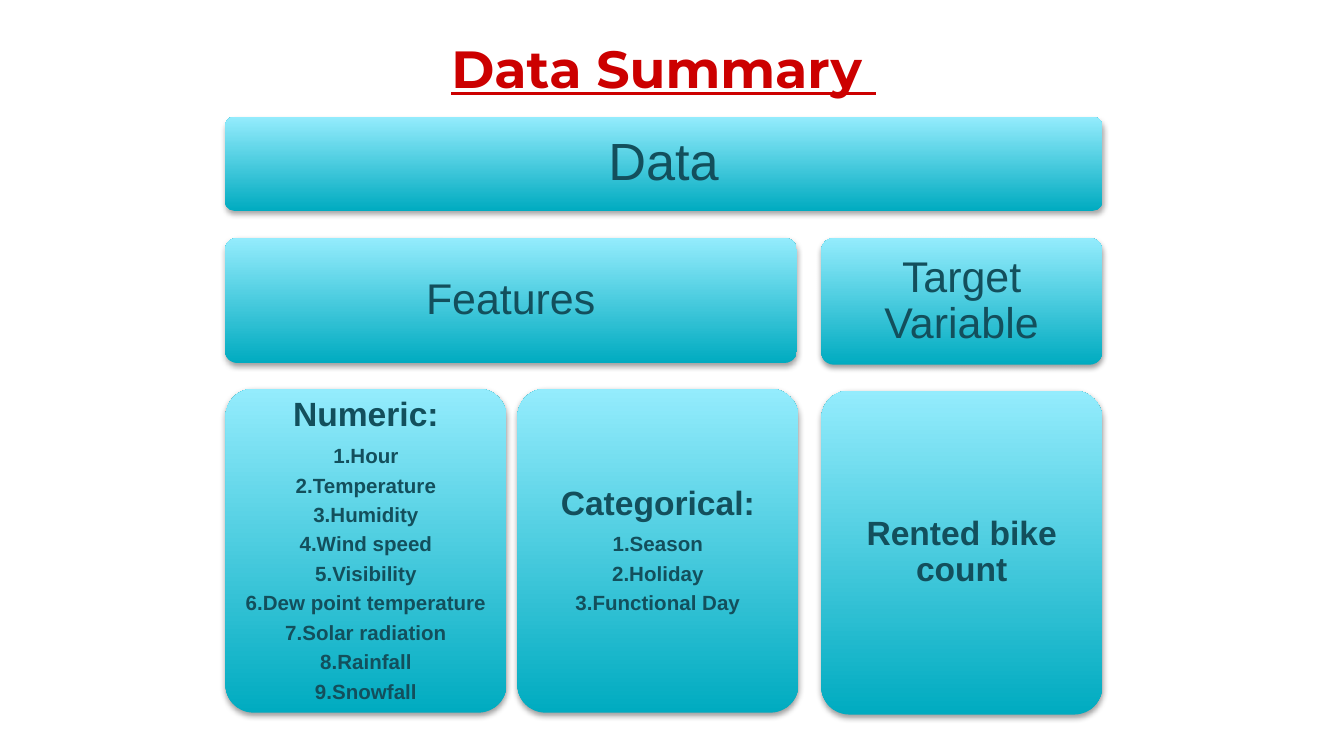
from dataclasses import dataclass

from lxml import etree
from pptx import Presentation
from pptx.dml import color
from pptx.enum import shapes, text
from pptx.oxml import ns
from pptx.util import Pt


@dataclass(frozen=True)
class Theme:
    title_font: str = "Montserrat"
    body_font: str = "Arial"
    title_color: str = "CC0000"
    ink: str = "134F5C"
    gradient: tuple = ("00ABC0", "94ECFD")  # bottom, top
    shadow: str = "000000"
    title_size: float = 28
    root_size: float = 28
    branch_size: float = 23
    heading_size: float = 18
    item_size: float = 11


class SlideBuilder:
    def __init__(self, page, theme):
        self.page = page
        self.theme = theme

    def span(self, para, words, size, font, ink, bold=False, underline=False):
        span = para.add_run()
        span.text = words
        span.font.size = Pt(size)
        span.font.name = font
        span.font.color.rgb = color.RGBColor.from_string(ink)
        span.font.bold = bold
        span.font.underline = underline

    def frame(self, box, margin, anchor):
        frame = box.text_frame
        frame.word_wrap = True
        frame.auto_size = text.MSO_AUTO_SIZE.NONE
        frame.vertical_anchor = anchor
        frame.margin_left = frame.margin_right = Pt(margin)
        frame.margin_top = frame.margin_bottom = Pt(margin)
        return frame

    def title(self, words, left, top, width, height):
        box = self.page.shapes.title
        box.left, box.top, box.width, box.height = map(Pt, (left, top, width, height))
        frame = self.frame(box, 7.2, text.MSO_ANCHOR.TOP)
        para = frame.paragraphs[0]
        para.alignment = text.PP_ALIGN.CENTER
        self.span(para, words, self.theme.title_size, self.theme.title_font,
                  self.theme.title_color, bold=True, underline=True)

    def shadow(self, box, distance, opacity):
        box.shadow.inherit = False
        effects = box._element.spPr.find(ns.qn("a:effectLst"))
        outer = etree.SubElement(effects, ns.qn("a:outerShdw"), blurRad=str(Pt(3.1)),
                                 dist=str(Pt(distance)), dir="5400000",
                                 algn="ctr", rotWithShape="0")
        tint = etree.SubElement(outer, ns.qn("a:srgbClr"), val=self.theme.shadow)
        etree.SubElement(tint, ns.qn("a:alpha"), val=str(opacity * 1000))

    def card(self, left, top, width, height, heading, size, margin,
             items=(), bold=False, distance=1.6, opacity=38):
        box = self.page.shapes.add_shape(shapes.MSO_SHAPE.ROUNDED_RECTANGLE,
                                         Pt(left), Pt(top), Pt(width), Pt(height))
        box.adjustments[0] = 0.1
        box.fill.gradient()
        box.fill.gradient_angle = 90
        for stop, shade in zip(box.fill.gradient_stops, self.theme.gradient):
            stop.color.rgb = color.RGBColor.from_string(shade)
        box.line.fill.background()
        self.shadow(box, distance, opacity)

        # Heading, then the numbered items
        frame = self.frame(box, margin, text.MSO_ANCHOR.MIDDLE)
        lines = [heading] + [f"{n}.{item}" for n, item in enumerate(items, 1)]
        for index, words in enumerate(lines):
            para = frame.add_paragraph() if index else frame.paragraphs[0]
            para.alignment = text.PP_ALIGN.CENTER
            para.line_spacing = 0.9
            if index:
                para.space_before = Pt(6.3 if index == 1 else 3.9)
            self.span(para, words, self.theme.item_size if index else size,
                      self.theme.body_font, self.theme.ink, bold=bold)


NUMERIC = ["Hour", "Temperature", "Humidity", "Wind speed", "Visibility",
           "Dew point temperature", "Solar radiation", "Rainfall", "Snowfall"]
CATEGORICAL = ["Season", "Holiday", "Functional Day"]


def main():
    deck = Presentation()
    deck.slide_width, deck.slide_height = Pt(720), Pt(405)
    theme = Theme()
    builder = SlideBuilder(deck.slides.add_slide(deck.slide_layouts[5]), theme)

    builder.title("Data Summary ", 20.2, 12.2, 671, 45.4)

    # Column edges and widths
    left, middle, right = 120.5, 277.2, 440
    column = 150.5
    full, features = right + column - left, middle + column + 0.2 - left - 1

    # Root and branches
    builder.card(left, 62.6, full, 50.4, "Data", theme.root_size, 8.6,
                 distance=1.8, opacity=35)
    branch_top = 127.5
    builder.card(left, branch_top, features, 67, "Features", theme.branch_size, 7.2)
    builder.card(right, branch_top, column, 67.9, "Target Variable",
                 theme.branch_size, 7.2)

    # Leaves
    for x, top, heading, items in [(left + 0.3, 208.3, "Numeric:", NUMERIC),
                                   (middle, 208.3, "Categorical:", CATEGORICAL),
                                   (right, 209.3, "Rented bike count", [])]:
        builder.card(x, top, column, 173.5, heading, theme.heading_size, 5,
                     items, bold=True)

    deck.save("out.pptx")


if __name__ == "__main__":
    main()
